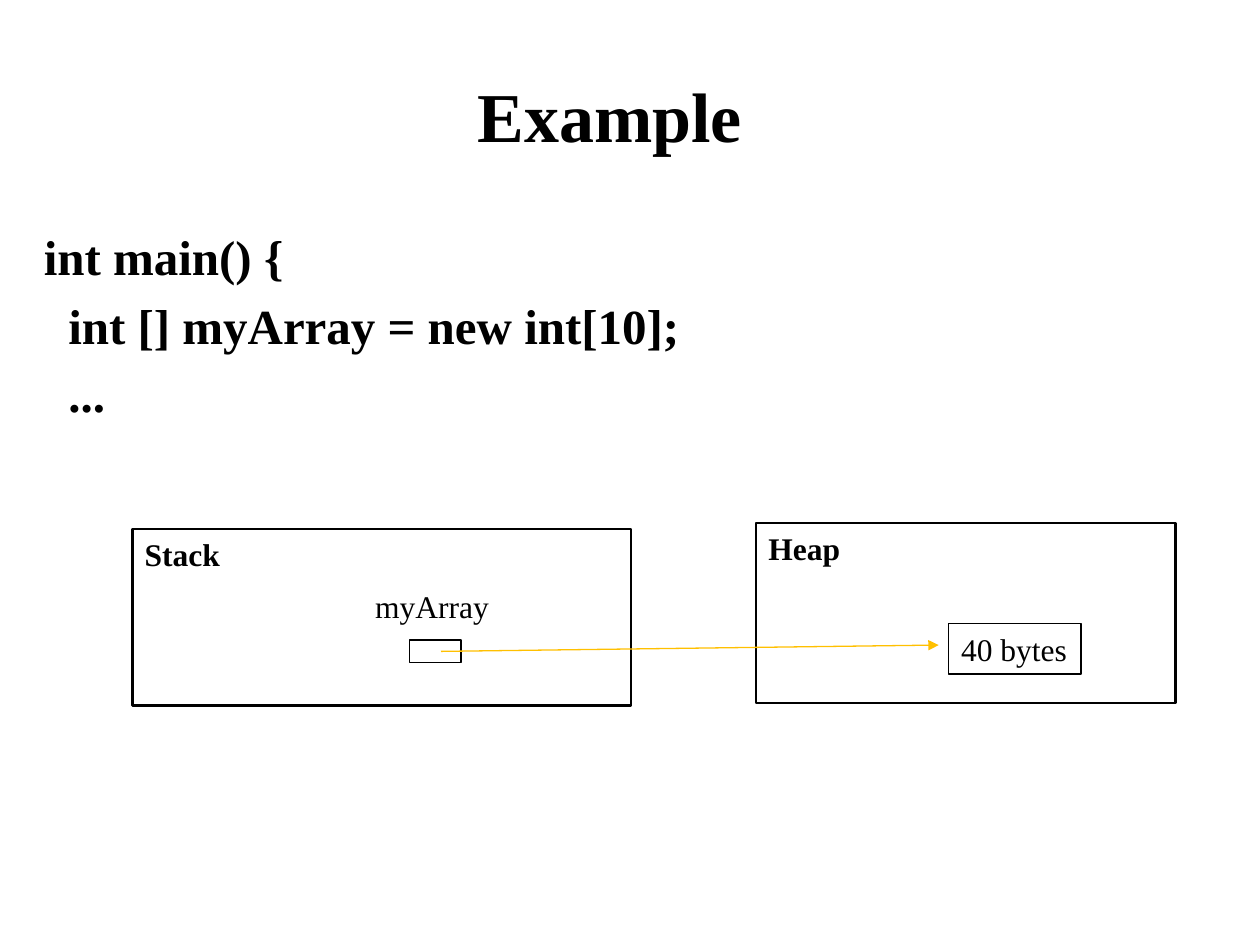
"""Build a slide that shows an array variable on the stack and its data on the heap."""
from dataclasses import dataclass

from lxml.etree import SubElement
from pptx import Presentation
from pptx.dml.color import RGBColor
from pptx.enum.shapes import MSO_CONNECTOR, MSO_SHAPE
from pptx.enum.text import MSO_ANCHOR, PP_ALIGN
from pptx.oxml.ns import qn
from pptx.util import Inches, Pt

WIDE, HIGH = Inches(10), Inches(7.5)
COLS, ROWS = 100, 75


@dataclass(frozen=True)
class Theme:
    font: str = "Times New Roman"
    ink: RGBColor = RGBColor(0, 0, 0)
    arrow: RGBColor = RGBColor(0xFF, 0xC0, 0x00)
    title: float = 40
    code: float = 28
    label: float = 18
    gap: float = 5.6
    thick: float = 1.5
    thin: float = 0.75


@dataclass(frozen=True)
class Area:
    col: float
    row: float
    cols: float
    rows: float


@dataclass(frozen=True)
class Box:
    area: Area
    line: float
    text: str = ""
    bold: bool = False


THEME = Theme()
CODE = "int main() {\n  int [] myArray = new int[10];\n  ..."
BOXES = [
    Box(Area(10.5, 42, 39.6, 14), THEME.thick, "Stack", True),
    Box(Area(60, 41.5, 33.3, 14.3), THEME.thick, "Heap", True),
    Box(Area(75.3, 49.5, 10.5, 4), THEME.thin, "40 bytes"),
    Box(Area(32.5, 50.8, 4.1, 1.8), THEME.thin),
]


def across(cols: float) -> int:
    """Turn grid columns into a length."""
    return round(WIDE * cols / COLS)


def down(rows: float) -> int:
    """Turn grid rows into a length."""
    return round(HIGH * rows / ROWS)


def place(area: Area) -> tuple[int, int, int, int]:
    """Give left, top, width and height of an area."""
    return across(area.col), down(area.row), across(area.cols), down(area.rows)


def write(frame, text: str, size: float, bold: bool = False,
          align=PP_ALIGN.LEFT, anchor=MSO_ANCHOR.TOP) -> None:
    """Fill a text frame and format its runs."""
    frame.text = text
    frame.word_wrap = True
    frame.vertical_anchor = anchor
    for order, para in enumerate(frame.paragraphs):
        para.alignment = align
        if order:
            para.space_before = Pt(THEME.gap)
        for run in para.runs:
            run.font.name = THEME.font
            run.font.size = Pt(size)
            run.font.bold = bold
            run.font.color.rgb = THEME.ink


def add_title(slide, text: str, area: Area) -> None:
    """Move and format the title placeholder."""
    title = slide.shapes.title
    title.left, title.top, title.width, title.height = place(area)
    write(title.text_frame, text, THEME.title, True, PP_ALIGN.CENTER, MSO_ANCHOR.MIDDLE)


def add_text(slide, text: str, area: Area, size: float, bold: bool = False) -> None:
    """Add a text box."""
    write(slide.shapes.add_textbox(*place(area)).text_frame, text, size, bold)


def add_box(slide, box: Box) -> None:
    """Add an outlined memory box."""
    shape = slide.shapes.add_shape(MSO_SHAPE.RECTANGLE, *place(box.area))
    shape.shadow.inherit = False
    shape.fill.background()
    shape.line.color.rgb = THEME.ink
    shape.line.width = Pt(box.line)
    if box.text:
        write(shape.text_frame, box.text, THEME.label, box.bold)


def add_arrow(slide, start: tuple[float, float], end: tuple[float, float]) -> None:
    """Add the pointer from one grid point to another."""
    line = slide.shapes.add_connector(
        MSO_CONNECTOR.STRAIGHT,
        across(start[0]), down(start[1]), across(end[0]), down(end[1]))
    line.line.color.rgb = THEME.arrow
    line.line.width = Pt(THEME.thin)
    SubElement(line.line._get_or_add_ln(), qn("a:tailEnd"), type="triangle")
    SubElement(line._element.spPr, qn("a:effectLst"))


def main() -> None:
    """Build and save the slide."""
    deck = Presentation()
    deck.slide_width, deck.slide_height = WIDE, HIGH
    slide = deck.slides.add_slide(deck.slide_layouts[5])
    add_title(slide, "Example", Area(2.5, 5.8, 91.8, 6.6))
    add_text(slide, CODE, Area(2.5, 17.5, 83, 17.7), THEME.code, True)
    for box in BOXES:
        add_box(slide, box)
    add_text(slide, "myArray", Area(28.8, 46.1, 11.4, 4), THEME.label)
    add_arrow(slide, (35, 51.7), (74.5, 51.2))
    deck.save("out.pptx")


if __name__ == "__main__":
    main()
